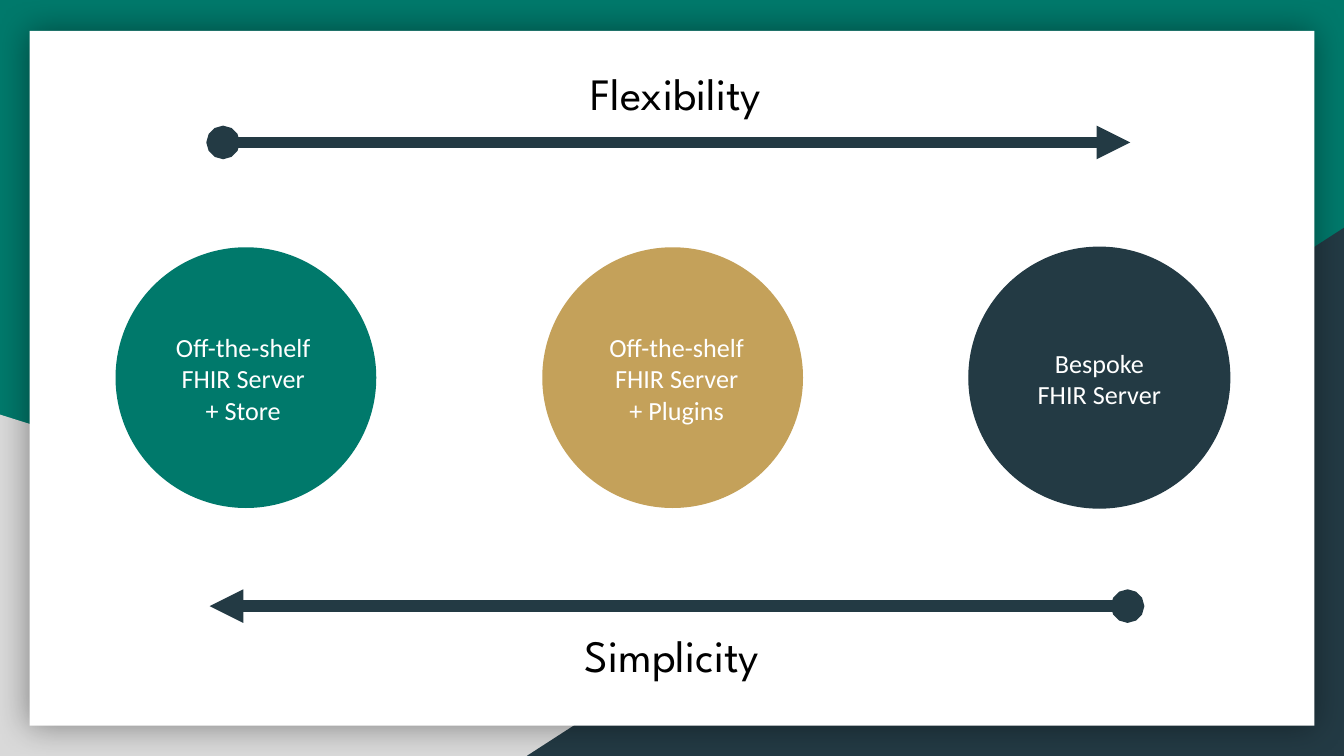
import pptx
import pptx.util
import pptx.dml.color
import pptx.enum.shapes
import pptx.enum.text
import pptx.oxml
import pptx.oxml.ns
import lxml.etree

Inches = pptx.util.Inches
Kind = pptx.enum.shapes.MSO_SHAPE
Anchor = pptx.enum.text.MSO_ANCHOR
qn = pptx.oxml.ns.qn

HUES = {
    "green": "00796B",
    "gray": "D9D9D9",
    "navy": "233A44",
    "gold": "C4A15A",
    "white": "FFFFFF",
    "black": "000000",
}
WIDE = 10
HIGH = WIDE * 9 / 16


def tint(name):
    """Return the named colour."""
    return pptx.dml.color.RGBColor.from_string(HUES[name])


def add_form(slide, kind, box, hue):
    """Add a filled shape with no line or shadow."""
    form = slide.shapes.add_shape(kind, *map(Inches, box))
    form.shadow.inherit = False
    form.fill.solid()
    form.fill.fore_color.rgb = tint(hue)
    form.line.fill.background()
    return form


def add_text(slide, box, text, size, font, hue, anchor):
    """Add a centred, wrapping text box."""
    frame = slide.shapes.add_textbox(*map(Inches, box)).text_frame
    frame.word_wrap = True
    frame.vertical_anchor = anchor
    frame.margin_left = frame.margin_right = Inches(0.1)
    frame.margin_top = frame.margin_bottom = Inches(0.1)
    para = frame.paragraphs[0]
    para.alignment = pptx.enum.text.PP_ALIGN.CENTER
    run = para.add_run()
    run.text = text
    run.font.size = pptx.util.Pt(size)
    run.font.name = font
    run.font.color.rgb = tint(hue)


def add_frame(slide, box):
    """Paint the backdrop, its two corners and the white card."""
    left, top, width, height = box
    right, base = left + width, top + height
    slide.background.fill.solid()
    slide.background.fill.fore_color.rgb = tint("green")
    add_form(slide, Kind.RIGHT_TRIANGLE, (left, base - 2.54, 8.06, 2.54), "gray")
    wedge = add_form(
        slide, Kind.RIGHT_TRIANGLE, (right - 6.08, base - 3.93, 6.08, 3.93), "navy")
    wedge.element.spPr.get_or_add_xfrm().set("flipH", "1")
    card = add_form(
        slide, Kind.RECTANGLE, (left + 0.22, top + 0.23, width - 0.44, 5.17), "white")
    glow = lxml.etree.SubElement(
        card.element.spPr.find(qn("a:effectLst")), qn("a:outerShdw"),
        blurRad=str(pptx.util.Pt(18)), dist="0", dir="0", algn="ctr", rotWithShape="0")
    shade = lxml.etree.SubElement(glow, qn("a:srgbClr"), val=HUES["black"])
    lxml.etree.SubElement(shade, qn("a:alpha"), val="40000")


def add_disc(slide, box, text, hue, edge, shift):
    """Add one option as a disc with its label."""
    left, top, width, height = box
    disc = add_form(slide, Kind.OVAL, box, hue)
    if edge:
        disc.line.color.rgb = tint(hue)
        disc.line.width = pptx.util.Pt(edge)
    spot = (left + (width - 1.25) / 2 + shift, top + 0.32, 1.25, 1.31)
    add_text(slide, spot, text, 14, "Calibri", "white", Anchor.MIDDLE)


def add_scale(slide, box, ends, title, spot):
    """Add a titled arrow along the top of the box."""
    left, top, width, _ = box
    arrow = slide.shapes.add_connector(
        pptx.enum.shapes.MSO_CONNECTOR.STRAIGHT,
        Inches(left), Inches(top), Inches(left + width), Inches(top))
    arrow.line.color.rgb = tint("navy")
    arrow.line.width = pptx.util.Pt(6)
    props = arrow.element.spPr
    line = props.find(qn("a:ln"))
    for tag, end in zip(("a:headEnd", "a:tailEnd"), ends):
        lxml.etree.SubElement(line, qn(tag), type=end)
    lxml.etree.SubElement(props, qn("a:effectLst"))
    shift, drop = spot
    add_text(slide, (left + shift, top + drop, 3.22, 0.41), title,
             24, "League Spartan", "black", Anchor.TOP)


def main():
    """Build and save the slide."""
    deck = pptx.Presentation()
    deck.slide_width, deck.slide_height = Inches(WIDE), Inches(HIGH)
    slide = deck.slides.add_slide(deck.slide_layouts[6])
    add_frame(slide, (0, 0, WIDE, HIGH))
    discs = [
        ("Off-the-shelf FHIR Server + Store", "green", 0, -0.02),
        ("Off-the-shelf FHIR Server + Plugins", "gold", 0, 0.03),
        ("Bespoke FHIR Server", "navy", 0.75, 0),
    ]
    step = (7.21 - 0.86) / 2
    for col, disc in enumerate(discs):
        add_disc(slide, (0.86 + step * col, 1.84, 1.94, 1.94), *disc)
    add_scale(slide, (1.66, 1.06, 6.75, 0), ("oval", "triangle"),
              "Flexibility", (1.76, -0.67))
    add_scale(slide, (1.56, 4.51, 6.83, 0), ("triangle", "oval"),
              "Simplicity", (1.83, 0.06))
    deck.save("out.pptx")


if __name__ == "__main__":
    main()
